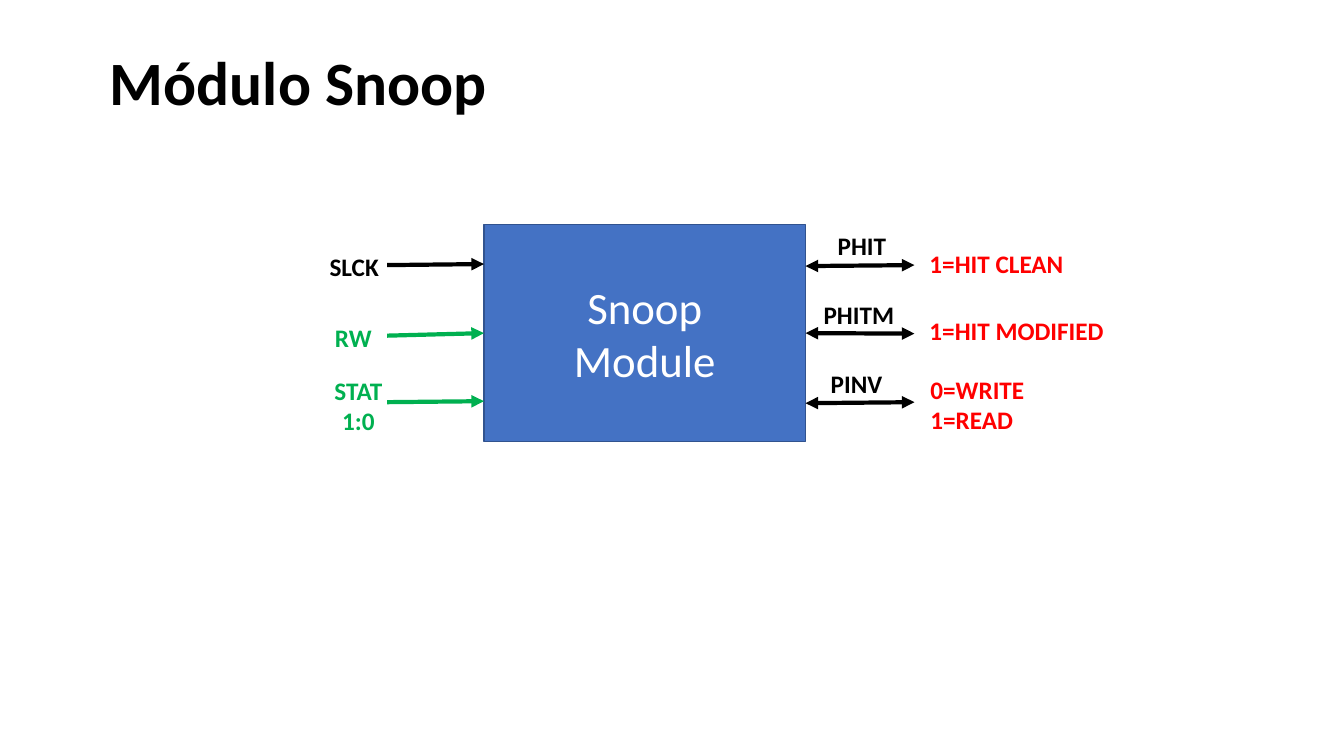
import pptx
import pptx.dml.color
import pptx.enum.shapes
import pptx.enum.text
import pptx.oxml.ns
import pptx.util
from lxml import etree

PX = 9144
COLORS = {"black": "000000", "white": "FFFFFF", "green": "00B050",
          "red": "FF0000", "blue": "4472C4", "edge": "31538F"}
ALIGN = pptx.enum.text.PP_ALIGN
ANCHOR = pptx.enum.text.MSO_ANCHOR
qn = pptx.oxml.ns.qn


class Diagram:
    """Draws styled elements on one slide, in px of a hundredth of an inch."""

    def __init__(self, prs, font="Calibri"):
        self.font = font
        self.slide = prs.slides.add_slide(prs.slide_layouts[5])

    def color(self, name):
        return pptx.dml.color.RGBColor.from_string(COLORS[name])

    def set_text(self, sp, text, size, color, bold, align, anchor):
        tf = sp.text_frame
        tf.word_wrap = True
        tf.auto_size = pptx.enum.text.MSO_AUTO_SIZE.NONE
        tf.vertical_anchor = anchor
        tf.text = text
        for p in tf.paragraphs:
            p.alignment = align
            p.font.name = self.font
            p.font.size = pptx.util.Pt(size)
            p.font.bold = bold
            p.font.color.rgb = self.color(color)

    def title(self, text, x, y, w, h):
        sp = self.slide.shapes.title
        sp.left, sp.top, sp.width, sp.height = (v * PX for v in (x, y, w, h))
        self.set_text(sp, text, 44, "black", True, ALIGN.LEFT, ANCHOR.TOP)

    def box(self, text, x, y, w, h):
        sp = self.slide.shapes.add_shape(
            pptx.enum.shapes.MSO_SHAPE.RECTANGLE, x * PX, y * PX, w * PX, h * PX)
        sp.shadow.inherit = False
        sp.fill.solid()
        sp.fill.fore_color.rgb = self.color("blue")
        sp.line.color.rgb = self.color("edge")
        sp.line.width = pptx.util.Pt(1)
        self.set_text(sp, text, 32, "white", False, ALIGN.CENTER, ANCHOR.MIDDLE)
        return sp

    def label(self, text, x, y, w, h=40, color="black", align=ALIGN.LEFT):
        sp = self.slide.shapes.add_textbox(x * PX, y * PX, w * PX, h * PX)
        self.set_text(sp, text, 18, color, True, align, ANCHOR.TOP)

    def arrow(self, x1, y1, x2, y2, color="black", ends=("tailEnd",)):
        c = self.slide.shapes.add_connector(
            pptx.enum.shapes.MSO_CONNECTOR.STRAIGHT, x1 * PX, y1 * PX, x2 * PX, y2 * PX)
        c.line.color.rgb = self.color(color)
        c.line.width = pptx.util.Pt(3)
        props = c.element.find(qn("p:spPr"))
        for end in ends:
            etree.SubElement(props.find(qn("a:ln")), qn("a:" + end), type="triangle")
        etree.SubElement(props, qn("a:effectLst"))
        return c


def main():
    prs = pptx.Presentation()
    prs.slide_width, prs.slide_height = 1333 * PX, 750 * PX
    d = Diagram(prs)
    d.title("Módulo Snoop", 99, 39, 1080, 84)
    module = d.box("Snoop\nModule", 480, 223, 319, 215)

    inputs = [d.arrow(384, y, 480, y - 1, color)
              for y, color in ((263, "black"), (333, "green"), (399, "green"))]
    outputs = [d.arrow(799, y, 907, y - 1, ends=("headEnd", "tailEnd"))
               for y in range(264, 401, 68)]
    inputs[1].end_connect(module, 1)
    outputs[1].begin_connect(module, 3)

    d.label("SLCK", 317, 244, 77)
    d.label("RW", 312, 315, 77, color="green", align=ALIGN.CENTER)
    d.label("STAT\n1:0", 317, 367, 77, 71, "green", ALIGN.CENTER)

    for i, (name, x) in enumerate((("PHIT", 821), ("PHITM", 807), ("PINV", 814))):
        d.label(name, x, 224 + 68 * i, 105)

    d.label("1=HIT CLEAN", 912, 241, 192, color="red")
    d.label("1=HIT MODIFIED", 912, 308, 225, color="red")
    d.label("0=WRITE\n1=READ", 913, 366, 146, 71, "red")
    prs.save("out.pptx")


if __name__ == "__main__":
    main()
